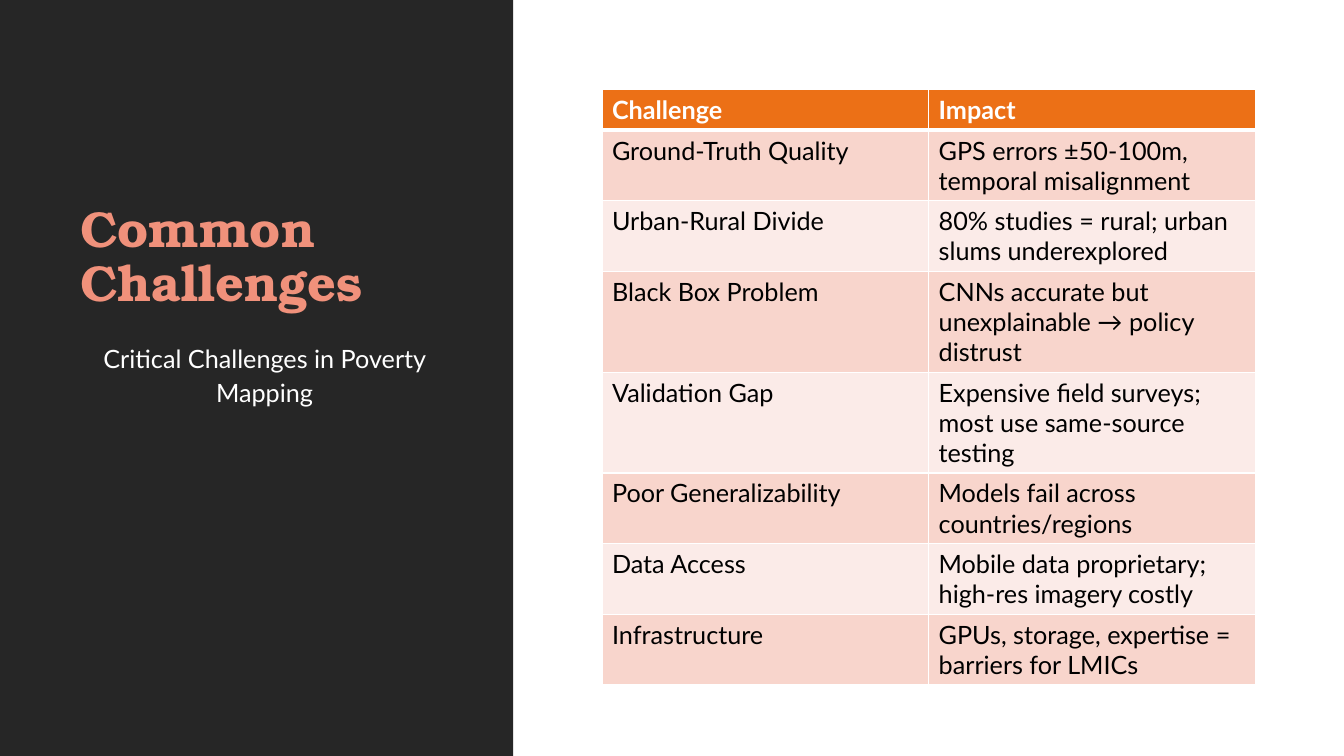
from dataclasses import dataclass

from lxml import etree
from pptx import Presentation
from pptx.dml.color import RGBColor
from pptx.enum.shapes import MSO_SHAPE
from pptx.enum.text import MSO_ANCHOR, PP_ALIGN
from pptx.oxml.ns import qn
from pptx.slide import Slide
from pptx.table import _Cell
from pptx.text.text import TextFrame
from pptx.util import Inches, Length, Pt

RECT = MSO_SHAPE.RECTANGLE
TOP, BOTTOM = MSO_ANCHOR.TOP, MSO_ANCHOR.BOTTOM
LEFT, CENTER = PP_ALIGN.LEFT, PP_ALIGN.CENTER

WHITE = RGBColor(0xFF, 0xFF, 0xFF)
BLACK = RGBColor(0x00, 0x00, 0x00)
DARK = RGBColor(0x26, 0x26, 0x26)
CORAL = RGBColor(0xF0, 0x91, 0x7B)
ORANGE = RGBColor(0xEC, 0x70, 0x16)
PINK = RGBColor(0xF8, 0xD5, 0xCC)
PALE = RGBColor(0xFB, 0xEB, 0xE8)

SERIF, SANS = "TeX Gyre Bonum", "Lato"
WIDTH, HEIGHT = Inches(13.33), Inches(7.5)

# Shares of the slide's height, in percent
LINE, MARGIN = 4, 1.33


@dataclass(frozen=True)
class Area:
    """A place on the slide, in percent of its width and height."""
    left: float
    top: float
    width: float
    height: float

    def box(self) -> tuple[Length, Length, Length, Length]:
        return (across(self.left), down(self.top),
                across(self.width), down(self.height))


@dataclass(frozen=True)
class Style:
    font: str
    size: int
    color: RGBColor
    bold: bool = False
    align: PP_ALIGN = LEFT
    space: float = 1.0


@dataclass(frozen=True)
class Label:
    text: str
    area: Area
    style: Style
    anchor: MSO_ANCHOR
    after: int = 0


@dataclass(frozen=True)
class Entry:
    """A table row, with the number of text lines it holds."""
    name: str
    impact: str
    lines: int = 2


PANEL = Area(0, 0, 38.18, 100)
TABLE = Area(44.79, 11.87, 48.61, 78.67)
HEAD = Style(SANS, 18, WHITE, bold=True)
BODY = Style(SANS, 18, BLACK)

LABELS = [
    Label("Common Challenges", Area(5.25, 11.47, 28.88, 30.53),
          Style(SERIF, 36, CORAL, bold=True, space=0.9), BOTTOM),
    Label("Critical Challenges in Poverty Mapping",
          Area(5.25, 44.4, 28.88, 44.67),
          Style(SANS, 18, WHITE, align=CENTER, space=1.1), TOP, after=2),
]

ENTRIES = [
    Entry("Challenge", "Impact", 1),
    Entry("Ground-Truth Quality", "GPS errors ±50-100m, temporal misalignment"),
    Entry("Urban-Rural Divide",
          "80% studies = rural; urban slums underexplored"),
    Entry("Black Box Problem",
          "CNNs accurate but unexplainable → policy distrust", 3),
    Entry("Validation Gap",
          "Expensive field surveys; most use same-source testing", 3),
    Entry("Poor Generalizability", "Models fail across countries/regions"),
    Entry("Data Access", "Mobile data proprietary; high-res imagery costly"),
    Entry("Infrastructure", "GPUs, storage, expertise = barriers for LMICs"),
]


def across(share: float) -> Length:
    return Length(round(WIDTH * share / 100))


def down(share: float) -> Length:
    return Length(round(HEIGHT * share / 100))


def write(frame: TextFrame, text: str, style: Style) -> None:
    frame.text = text
    para = frame.paragraphs[0]
    para.alignment = style.align
    para.line_spacing = style.space
    for run in para.runs:
        run.font.name = style.font
        run.font.size = Pt(style.size)
        run.font.bold = style.bold
        run.font.color.rgb = style.color


def add_panel(slide: Slide) -> None:
    panel = slide.shapes.add_shape(RECT, *PANEL.box())
    panel.shadow.inherit = False
    panel.fill.solid()
    panel.fill.fore_color.rgb = DARK
    panel.line.fill.background()


def add_label(slide: Slide, label: Label) -> None:
    frame = slide.shapes.add_textbox(*label.area.box()).text_frame
    frame.word_wrap = True
    frame.vertical_anchor = label.anchor
    write(frame, label.text, label.style)
    frame.paragraphs[0].space_after = Pt(label.after)


def add_edges(cell: _Cell, top: int, bottom: int) -> None:
    """Draw white borders; top and bottom are widths in points."""
    props = cell._tc.get_or_add_tcPr()
    edges = {"a:lnL": 1, "a:lnR": 1, "a:lnT": top, "a:lnB": bottom}
    for place, (tag, width) in enumerate(edges.items()):
        edge = etree.Element(qn(tag), w=str(Pt(width)))
        fill = etree.SubElement(edge, qn("a:solidFill"))
        etree.SubElement(fill, qn("a:srgbClr"), val=str(WHITE))
        props.insert(place, edge)


def add_table(slide: Slide) -> None:
    table = slide.shapes.add_table(len(ENTRIES), 2, *TABLE.box()).table
    for index, entry in enumerate(ENTRIES):
        table.rows[index].height = down(MARGIN + LINE * entry.lines)
        head = index == 0
        band = PINK if index % 2 else PALE
        for col, text in enumerate((entry.name, entry.impact)):
            cell = table.cell(index, col)
            write(cell.text_frame, text, HEAD if head else BODY)
            cell.fill.solid()
            cell.fill.fore_color.rgb = ORANGE if head else band
            add_edges(cell, 3 if index == 1 else 1, 3 if head else 1)


def main() -> None:
    deck = Presentation()
    deck.slide_width, deck.slide_height = WIDTH, HEIGHT
    slide = deck.slides.add_slide(deck.slide_layouts[6])
    add_panel(slide)
    for label in LABELS:
        add_label(slide, label)
    add_table(slide)
    deck.save("out.pptx")


if __name__ == "__main__":
    main()
